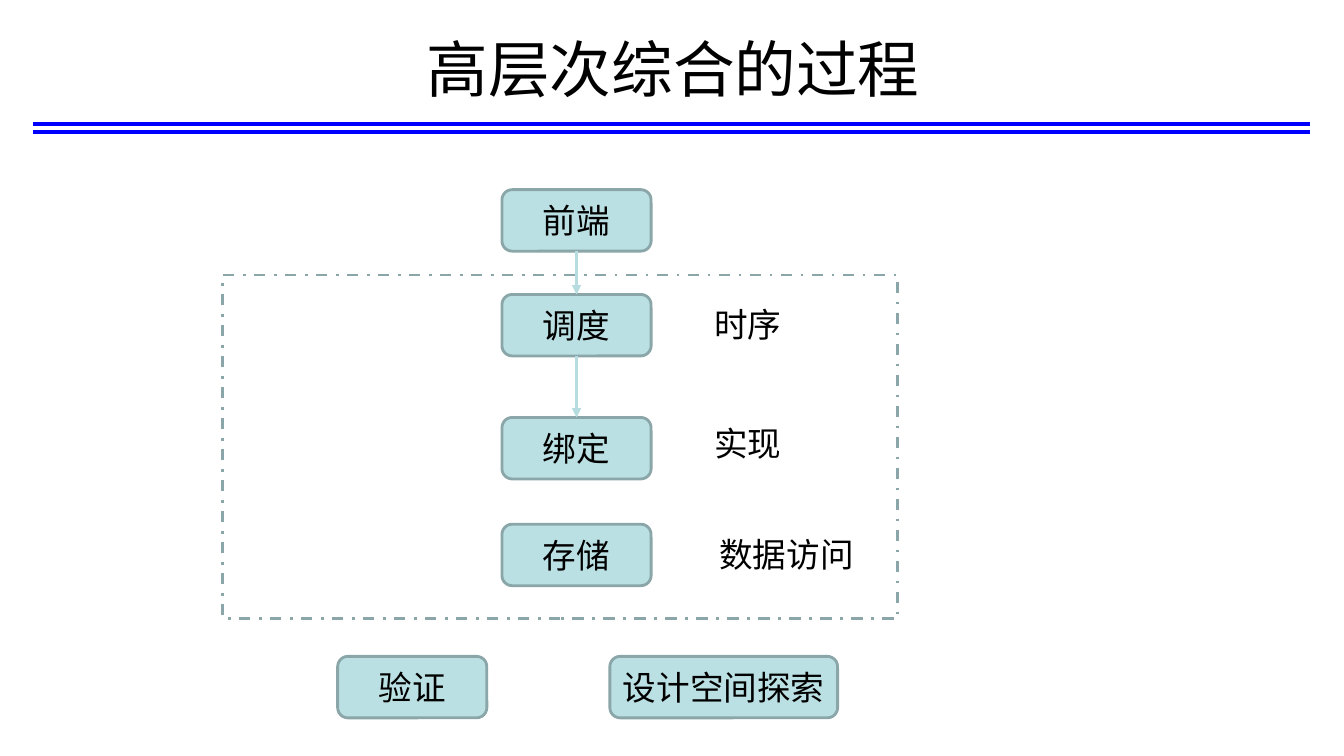
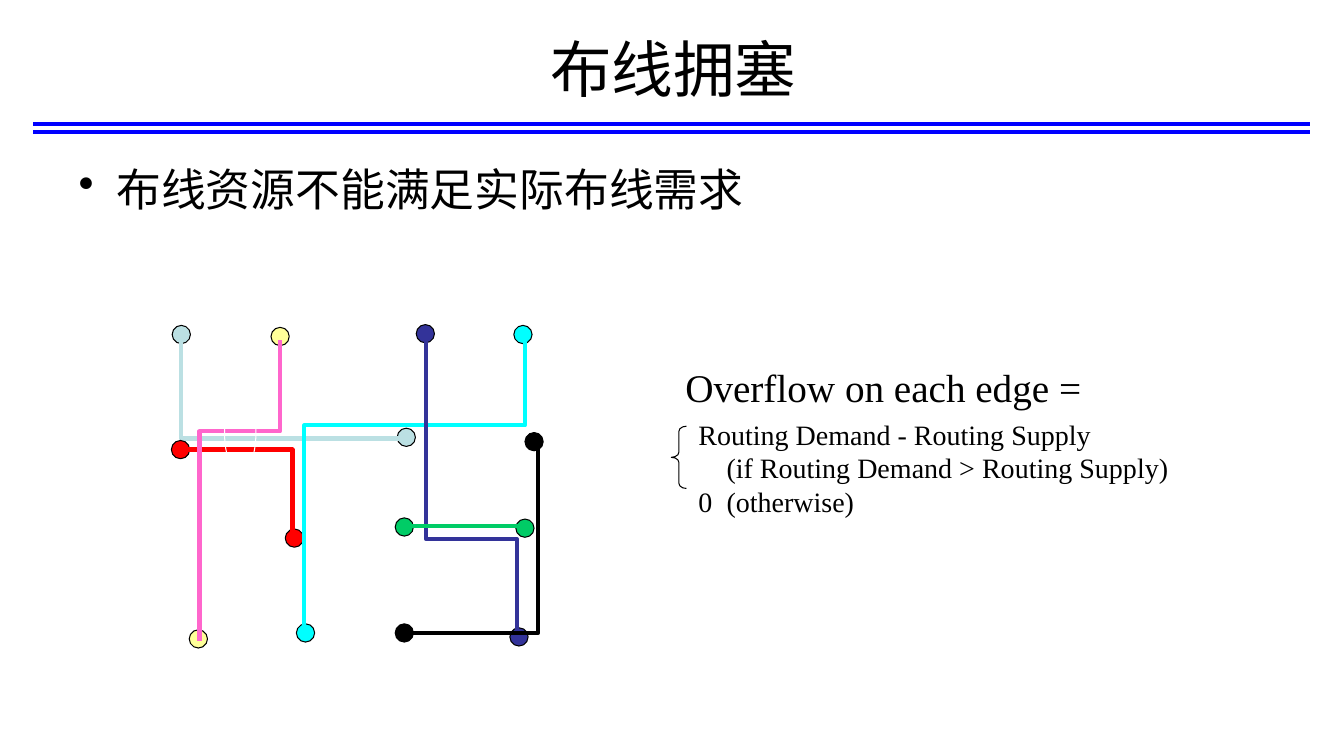
import pptx
import pptx.util
import pptx.dml.color
import pptx.enum.dml
import pptx.enum.shapes
import pptx.enum.text
import pptx.oxml
import pptx.oxml.ns
from lxml import etree

Cm, Pt = pptx.util.Cm, pptx.util.Pt
Rgb = pptx.dml.color.RGBColor
Kind = pptx.enum.shapes.MSO_SHAPE
Line = pptx.enum.shapes.MSO_CONNECTOR.STRAIGHT
Align = pptx.enum.text.PP_ALIGN
Middle = pptx.enum.text.MSO_ANCHOR.MIDDLE
qn = pptx.oxml.ns.qn

HUES = {
    "rule": "0000FF", "pale": "BBE0E3", "edge": "8AA6A8", "arrow": "B6DCDF",
    "red": "FF0000", "cyan": "00FFFF", "yellow": "FFFF99", "pink": "FF66CC",
    "navy": "333399", "black": "000000", "green": "00CC66", "white": "FFFFFF",
}
FORMS = {
    "title": {"size": Pt(44), "name": "Arial"},
    "body": {"size": Pt(32), "name": "Arial"},
    "label": {"size": Pt(24), "name": "Arial"},
    "lead": {"size": Pt(28), "name": "Times New Roman"},
    "case": {"size": Pt(20), "name": "Times New Roman"},
}


def paint(item, edge, width, fill=None):
    """Set outline and fill of a shape or connector and drop its shadow."""
    item.line.color.rgb = Rgb.from_string(HUES[edge])
    item.line.width = Pt(width)
    if not hasattr(item, "fill"):
        etree.SubElement(item.element.spPr, qn("a:effectLst"))
        return
    item.shadow.inherit = False
    if fill:
        item.fill.solid()
        item.fill.fore_color.rgb = Rgb.from_string(HUES[fill])
    else:
        item.fill.background()


def write(box, form, rows, align=Align.LEFT, bullet=None):
    """Fill a box with rows of (text, left indent, first-line indent) in cm."""
    frame = box.text_frame
    frame.word_wrap = True
    for n, (text, left, first) in enumerate(rows):
        par = frame.add_paragraph() if n else frame.paragraphs[0]
        par.alignment = align
        props = par._p.get_or_add_pPr()
        props.set("marL", str(Cm(left)))
        props.set("indent", str(Cm(first)))
        if bullet:
            etree.SubElement(props, qn("a:buChar")).set("char", bullet)
        run = par.add_run()
        run.text = text
        for key, value in FORMS[form].items():
            setattr(run.font, key, value)
        run.font.color.rgb = Rgb.from_string(HUES["black"])


deck = pptx.Presentation()
deck.slide_width, deck.slide_height = Cm(33.87), Cm(19.05)

# Shared title and double rule
pages = []
for title in ("高层次综合的过程", "布线拥塞"):
    shapes = deck.slides.add_slide(deck.slide_layouts[6]).shapes
    for y in (3.12, 3.33):
        rule = shapes.add_connector(Line, Cm(0.84), Cm(y), Cm(33.02), Cm(y))
        paint(rule, "rule", 3)
    head = shapes.add_textbox(Cm(1.73), Cm(0.71), Cm(30.48), Cm(2.01))
    head.text_frame.vertical_anchor = Middle
    write(head, "title", [(title, 0, 0)], Align.CENTER)
    pages.append(shapes)
flow, route = pages

# Slide 1: synthesis flow
group = flow.add_shape(Kind.RECTANGLE, Cm(5.61), Cm(6.93), Cm(17.02), Cm(8.66))
paint(group, "edge", 2)
group.line.dash_style = pptx.enum.dml.MSO_LINE.DASH_DOT

steps = []
for text, x, y, wide in (
    ("前端", 12.65, 4.78, 3.76),
    ("调度", 12.65, 7.42, 3.76),
    ("绑定", 12.65, 10.52, 3.76),
    ("存储", 12.65, 13.21, 3.76),
    ("验证", 8.51, 16.54, 3.76),
    ("设计空间探索", 15.37, 16.54, 5.74),
):
    step = flow.add_shape(Kind.ROUNDED_RECTANGLE, Cm(x), Cm(y), Cm(wide), Cm(1.55))
    paint(step, "edge", 2, "pale")
    step.text_frame.margin_left = step.text_frame.margin_right = Cm(0.1)
    step.text_frame.vertical_anchor = Middle
    write(step, "label", [(text, 0, 0)], Align.CENTER)
    steps.append(step)

for start, end in zip(steps[:2], steps[1:3]):
    arrow = flow.add_connector(Line, 0, 0, 0, 0)
    arrow.begin_connect(start, 2)
    arrow.end_connect(end, 0)
    paint(arrow, "arrow", 2.25)
    tip = etree.SubElement(arrow.element.spPr.get_or_add_ln(), qn("a:tailEnd"))
    tip.set("type", "triangle")

for text, x, y in (("时序", 17.75, 7.54), ("实现", 17.75, 10.52), ("数据访问", 17.88, 13.34)):
    note = flow.add_textbox(Cm(x), Cm(y), Cm(4.24), Cm(1.27))
    write(note, "label", [(text, 0, 0)])

# Slide 2: routing congestion
body = route.add_textbox(Cm(1.73), Cm(3.96), Cm(30.48), Cm(2))
write(body, "body", [("布线资源不能满足实际布线需求", 0.95, -0.95)], bullet="•")

# Each net: pin colour, wire colour, pin centres, wire corners
nets = (
    ("pale", "pale", [(4.57, 8.43), (10.24, 11.02)],
     [(4.57, 8.43), (4.57, 11.05), (10.24, 11.05)]),
    ("red", "red", [(7.42, 13.56), (4.55, 11.33)],
     [(4.5, 11.33), (7.37, 11.33), (7.37, 13.59)]),
    ("cyan", "cyan", [(7.7, 15.95), (13.18, 8.43)],
     [(7.67, 15.95), (7.67, 10.72), (13.23, 10.72), (13.23, 8.53)]),
    ("yellow", "pink", [(5, 16.1), (7.06, 8.48)],
     [(5.03, 16.15), (5.03, 10.87), (7.06, 10.87), (7.06, 8.56)]),
    ("navy", "navy", [(10.72, 8.41), (13.08, 16.05)],
     [(10.74, 8.38), (10.74, 13.59), (13.03, 13.59), (13.03, 16.05)]),
    ("black", "black", [(13.46, 11.13), (10.19, 15.95)],
     [(10.21, 15.95), (13.56, 15.95), (13.56, 11.15)]),
    ("green", "green", [(10.19, 13.28), (13.23, 13.31)],
     [(10.19, 13.26), (13.23, 13.26)]),
)
size = 0.46
for hue, tint, pins, bends in nets:
    for x, y in pins:
        pin = route.add_shape(
            Kind.OVAL, Cm(x - size / 2), Cm(y - size / 2), Cm(size), Cm(size))
        paint(pin, "black", 0.75, hue)
    spots = [(Cm(x), Cm(y)) for x, y in bends]
    if len(spots) == 2:
        wire = route.add_connector(Line, *spots[0], *spots[1])
    else:
        trace = route.build_freeform(*spots[0])
        trace.add_line_segments(spots[1:], close=False)
        wire = trace.convert_to_shape()
    paint(wire, tint, 3)

ring = route.add_shape(Kind.OVAL, Cm(5.66), Cm(9.91), Cm(0.79), Cm(2.01))
paint(ring, "white", 0.75)

lead = route.add_textbox(Cm(17.02), Cm(9.04), Cm(11.5), Cm(1.45))
write(lead, "lead", [("Overflow on each edge =", 0, 0)])
cases = route.add_textbox(Cm(17.35), Cm(10.39), Cm(13), Cm(2.82))
write(cases, "case", [
    ("Routing Demand - Routing Supply", 0, 0),
    ("(if Routing Demand > Routing Supply)", 0.71, 0),
    ("0\t(otherwise)", 0.71, -0.71),
])
brace = route.add_shape(Kind.LEFT_BRACE, Cm(16.92), Cm(10.74), Cm(0.38), Cm(1.57))
brace.adjustments[0] = 0.34
paint(brace, "black", 0.75)

deck.save("out.pptx")
